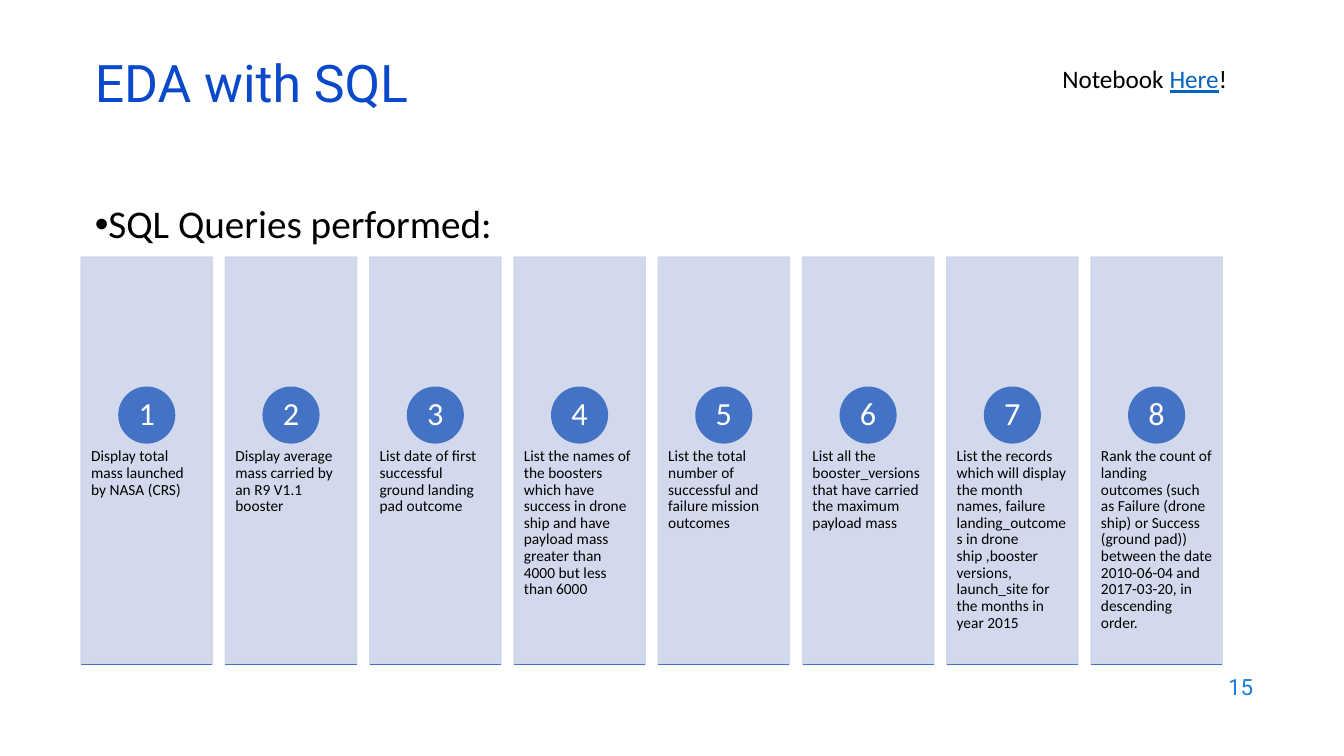
from lxml import etree
from pptx import Presentation
from pptx.dml.color import RGBColor
from pptx.enum.shapes import MSO_CONNECTOR, MSO_SHAPE
from pptx.enum.text import MSO_ANCHOR, MSO_AUTO_SIZE, PP_ALIGN
from pptx.oxml.ns import qn
from pptx.util import Pt

TITLE = "EDA with SQL"
SUBTITLE = "SQL Queries performed:"
NOTEBOOK_LABEL = ["Notebook ", "Here", "!"]
PAGE_NUMBER = "15"
QUERIES = [
    "Display total mass launched by NASA (CRS)",
    "Display average mass carried by an R9 V1.1 booster",
    "List date of first successful ground landing pad outcome",
    "List the names of the boosters which have success in drone ship and have "
    "payload mass greater than 4000 but less than 6000",
    "List the total number of successful and failure mission outcomes",
    "List all the booster_versions that have carried the maximum payload mass",
    "List the records which will display the month names, failure landing_outcomes "
    "in drone ship ,booster versions, launch_site for the months in year 2015",
    "Rank the count of landing outcomes (such as Failure (drone ship) or Success "
    "(ground pad)) between the date 2010-06-04 and 2017-03-20, in descending order.",
]

BLACK = RGBColor(0x00, 0x00, 0x00)
WHITE = RGBColor(0xFF, 0xFF, 0xFF)
TITLE_BLUE = RGBColor(0x0B, 0x49, 0xCB)
PAGE_BLUE = RGBColor(0x1C, 0x7D, 0xDB)
LINK_BLUE = RGBColor(0x05, 0x63, 0xC1)
ACCENT_BLUE = RGBColor(0x44, 0x72, 0xC4)
CARD_BLUE = RGBColor(0xCF, 0xD5, 0xEA)

LEFT, CENTER, RIGHT = PP_ALIGN.LEFT, PP_ALIGN.CENTER, PP_ALIGN.RIGHT
TOP, MIDDLE = MSO_ANCHOR.TOP, MSO_ANCHOR.MIDDLE
RECTANGLE, OVAL = MSO_SHAPE.RECTANGLE, MSO_SHAPE.OVAL
STRAIGHT = MSO_CONNECTOR.STRAIGHT
NO_AUTOFIT = MSO_AUTO_SIZE.NONE

CARD_LEFT, CARD_TOP, CARD_WIDTH, CARD_HEIGHT = 58, 183.6, 93.7, 290.9
CARD_PITCH = 103.05
CARD_TEXT_OFFSET = 136.8
BADGE_TOP, BADGE_SIZE = 276.6, 39.8


def place(shape, left, top, width, height):
    shape.left, shape.top = Pt(left), Pt(top)
    shape.width, shape.height = Pt(width), Pt(height)


def write(shape, text, size, color, font="Calibri", align=LEFT, anchor=TOP,
          spacing=1.0, margins=(7.2, 3.6, 7.2, 3.6)):
    frame = shape.text_frame
    frame.text = text
    frame.word_wrap = True
    frame.auto_size = NO_AUTOFIT
    frame.vertical_anchor = anchor
    frame.margin_left, frame.margin_top, frame.margin_right, frame.margin_bottom = map(Pt, margins)
    paragraph = frame.paragraphs[0]
    paragraph.alignment = align
    paragraph.line_spacing = spacing
    paragraph.space_before = Pt(0)
    for run in paragraph.runs:
        style_run(run, size, color, font)
    return paragraph


def style_run(run, size, color, font="Calibri"):
    run.font.name = font
    run.font.size = Pt(size)
    run.font.color.rgb = color


def add_filled_shape(slide, kind, box, color):
    shape = slide.shapes.add_shape(kind, *map(Pt, box))
    shape.shadow.inherit = False
    shape.fill.solid()
    shape.fill.fore_color.rgb = color
    shape.line.color.rgb = color
    shape.line.width = Pt(1)
    return shape


def set_opacity(shape, percent):
    for color in shape.element.spPr.iter(qn("a:srgbClr")):
        etree.SubElement(color, qn("a:alpha")).set("val", str(percent * 1000))


def add_header(slide):
    title = slide.shapes.title
    place(title, 60.5, 42.5, 255, 43.2)
    write(title, TITLE, 37, TITLE_BLUE, "Roboto", anchor=MIDDLE, spacing=0.7)

    body = slide.placeholders[1]
    place(body, 60.5, 142.6, 767.5, 31.7)
    paragraph = write(body, SUBTITLE, 28, BLACK, spacing=0.9)
    properties = paragraph._p.get_or_add_pPr()
    properties.set("marL", "0")
    properties.set("indent", "0")
    etree.SubElement(properties, qn("a:buFont")).set("typeface", "Arial")
    etree.SubElement(properties, qn("a:buChar")).set("char", "•")

    notebook = slide.shapes.add_textbox(Pt(751.7), Pt(41.8), Pt(133.2), Pt(28.8))
    notebook.text_frame.word_wrap = False
    paragraph = notebook.text_frame.paragraphs[0]
    for text in NOTEBOOK_LABEL:
        run = paragraph.add_run()
        run.text = text
        style_run(run, 18, BLACK)
    link = paragraph.runs[1]
    link.font.color.rgb = LINK_BLUE
    link.font.underline = True


def add_query_card(slide, index, query):
    left = CARD_LEFT + index * CARD_PITCH
    bottom = CARD_TOP + CARD_HEIGHT
    card = add_filled_shape(slide, RECTANGLE, (left, CARD_TOP, CARD_WIDTH, CARD_HEIGHT), CARD_BLUE)
    set_opacity(card, 90)
    write(card, query, 11, BLACK, spacing=0.9, margins=(7.2, CARD_TEXT_OFFSET, 7.2, 0))

    badge_left = left + (CARD_WIDTH - BADGE_SIZE) / 2
    badge = add_filled_shape(slide, OVAL, (badge_left, BADGE_TOP, BADGE_SIZE, BADGE_SIZE), ACCENT_BLUE)
    write(badge, str(index + 1), 23, WHITE, align=CENTER, anchor=MIDDLE, spacing=0.9,
          margins=(2.9, 0.7, 2.9, 0.7))

    rule = slide.shapes.add_connector(STRAIGHT, Pt(left), Pt(bottom), Pt(left + CARD_WIDTH), Pt(bottom))
    rule.line.color.rgb = ACCENT_BLUE
    rule.line.width = Pt(1)
    etree.SubElement(rule.element.spPr, qn("a:effectLst"))


def main():
    presentation = Presentation()
    presentation.slide_width, presentation.slide_height = Pt(960), Pt(540)
    slide = presentation.slides.add_slide(presentation.slide_layouts[1])
    add_header(slide)
    for index, query in enumerate(QUERIES):
        add_query_card(slide, index, query)
    page = slide.shapes.add_textbox(Pt(686.2), Pt(474.5), Pt(216), Pt(31.7))
    write(page, PAGE_NUMBER, 16, PAGE_BLUE, "Roboto", align=RIGHT, anchor=MIDDLE)
    presentation.save("out.pptx")


if __name__ == "__main__":
    main()
